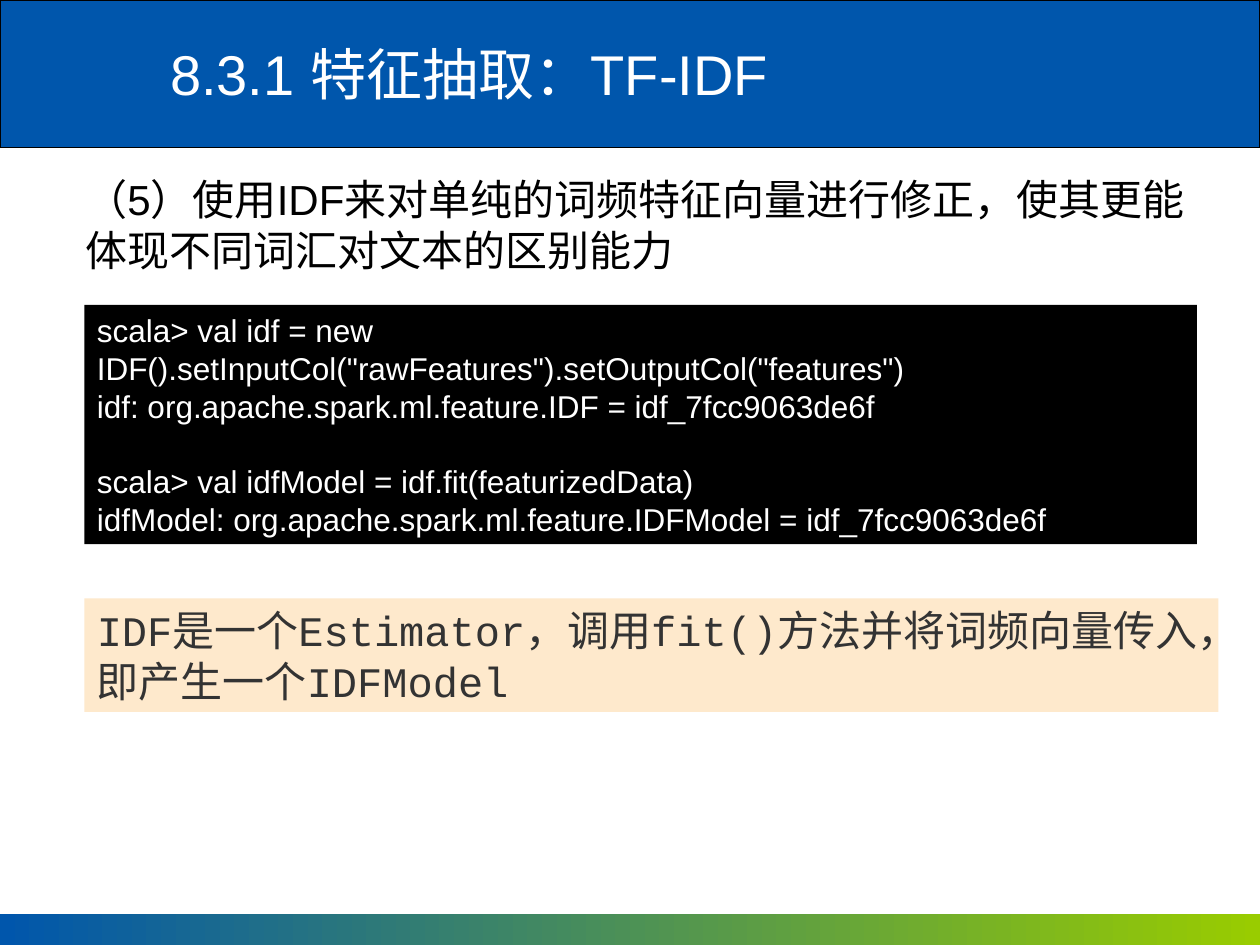
from pptx import Presentation
from pptx.dml.color import RGBColor
from pptx.enum.shapes import MSO_SHAPE
from pptx.enum.text import MSO_ANCHOR, PP_ALIGN
from pptx.util import Inches, Pt

RECT = MSO_SHAPE.RECTANGLE
TOP, MID = MSO_ANCHOR.TOP, MSO_ANCHOR.MIDDLE
LEFT = PP_ALIGN.LEFT
SANS, MONO = "Arial", "Courier New"
BLUE, GREEN, BLACK, WHITE = "0056AC", "99CC00", "000000", "FFFFFF"
CREAM, GREY = "FEE9CC", "333333"

TITLE = "8.3.1 特征抽取：TF-IDF"
INTRO = "（5）使用IDF来对单纯的词频特征向量进行修正，使其更能体现不同词汇对文本的区别能力"
CODE = [
    ['scala> val idf = new IDF().setInputCol("rawFeatures").setOutputCol("features")',
     "idf: org.apache.spark.ml.feature.IDF = idf_7fcc9063de6f"],
    ["scala> val idfModel = idf.fit(featurizedData)",
     "idfModel: org.apache.spark.ml.feature.IDFModel = idf_7fcc9063de6f"],
]
NOTE = [
    ("IDF", MONO), ("是一个", SANS), ("Estimator", MONO), ("，调用", SANS),
    ("fit()", MONO), ("方法并将词频向量传入，即产生一个", SANS), ("IDFModel", MONO),
]


def color(text):
    """Turn a hex string into a colour."""
    return RGBColor.from_string(text)


def place(shape, *box):
    """Set left, top, width and height in inches."""
    shape.left, shape.top, shape.width, shape.height = map(Inches, box)


def write(shape, paras, size=24, ink=BLACK, anchor=TOP):
    """Fill a shape with paragraphs given as (runs, space before)."""
    frame = shape.text_frame
    frame.word_wrap = True
    frame.vertical_anchor = anchor
    for i, (runs, gap) in enumerate(paras):
        para = frame.add_paragraph() if i else frame.paragraphs[0]
        para.alignment = LEFT
        para.space_before = Pt(gap)
        for text, face in runs:
            run = para.add_run()
            run.text = text
            run.font.name = face
            run.font.size = Pt(size)
            run.font.color.rgb = color(ink)


def panel(slide, box, fill=None, line=None):
    """Add a flat rectangle with an optional fill and outline."""
    shape = slide.shapes.add_shape(RECT, *map(Inches, box))
    shape.shadow.inherit = False
    if fill:
        shape.fill.solid()
        shape.fill.fore_color.rgb = color(fill)
    if line:
        shape.line.color.rgb = color(line)
        shape.line.width = Pt(0.75)
    else:
        shape.line.fill.background()
    return shape


def main():
    """Build the slide and save it."""
    deck = Presentation()
    deck.slide_width, deck.slide_height = Inches(10), Inches(7.5)
    slide = deck.slides.add_slide(deck.slide_layouts[5])

    head = panel(slide, (0, 0, 10, 1.17), BLUE, BLACK)
    foot = panel(slide, (0, 7.25, 10, 0.25))
    foot.fill.gradient()
    foot.fill.gradient_angle = 0
    for stop, tint in zip(foot.fill.gradient_stops, (BLUE, GREEN)):
        stop.color.rgb = color(tint)

    title = slide.shapes.title
    place(title, 1.25, 0.08, 8.75, 1)
    write(title, [([(TITLE, SANS)], 0)], size=32, ink=WHITE, anchor=MID)
    foot.element.addnext(title.element)

    intro = slide.shapes.add_textbox(*map(Inches, (0.58, 1.33, 9, 0.9)))
    write(intro, [([(INTRO, SANS)], 0)])

    lines = [([(text, SANS)], 21.5 if block and not row else 0)
             for block, group in enumerate(CODE) for row, text in enumerate(group)]
    code = panel(slide, (0.67, 2.42, 8.83, 1.9), BLACK)
    write(code, lines, size=18, ink=WHITE)

    note = panel(slide, (0.67, 4.75, 9, 0.9), CREAM)
    write(note, [(NOTE, 0)], ink=GREY, anchor=MID)

    deck.save("out.pptx")


if __name__ == "__main__":
    main()
